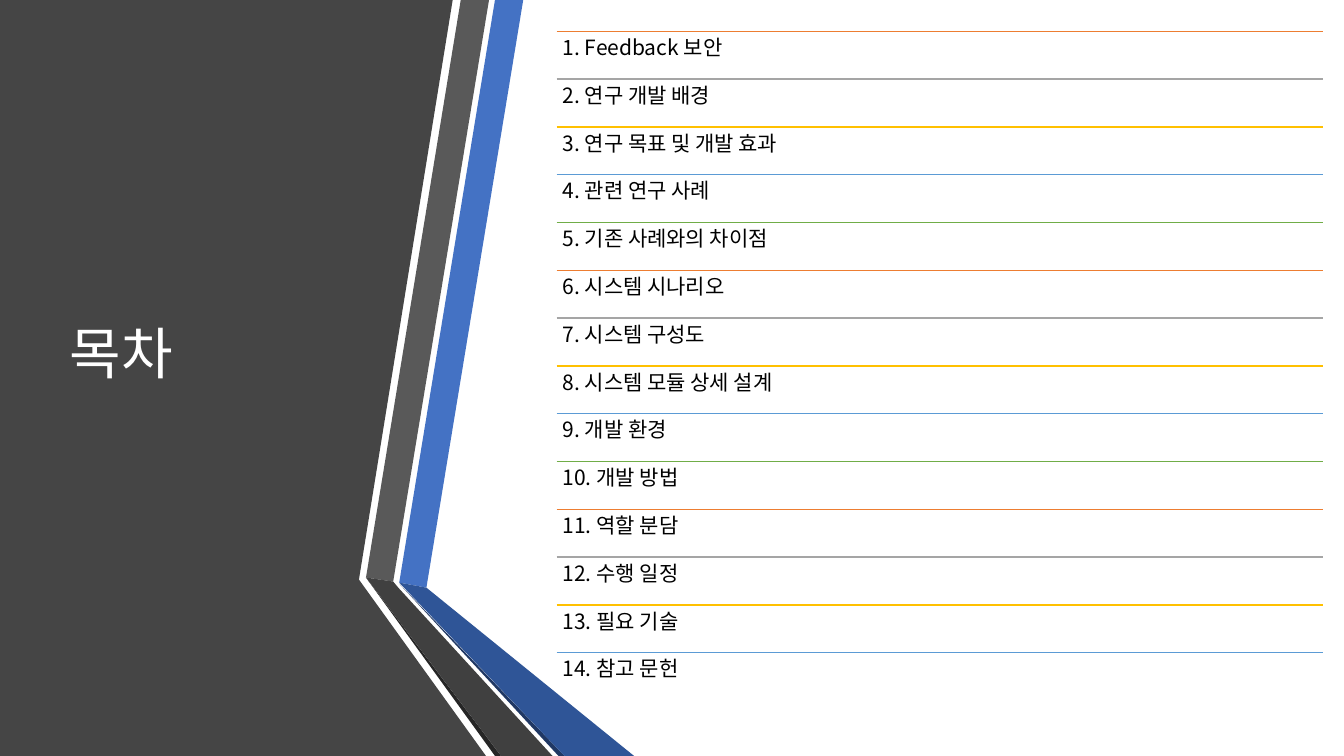
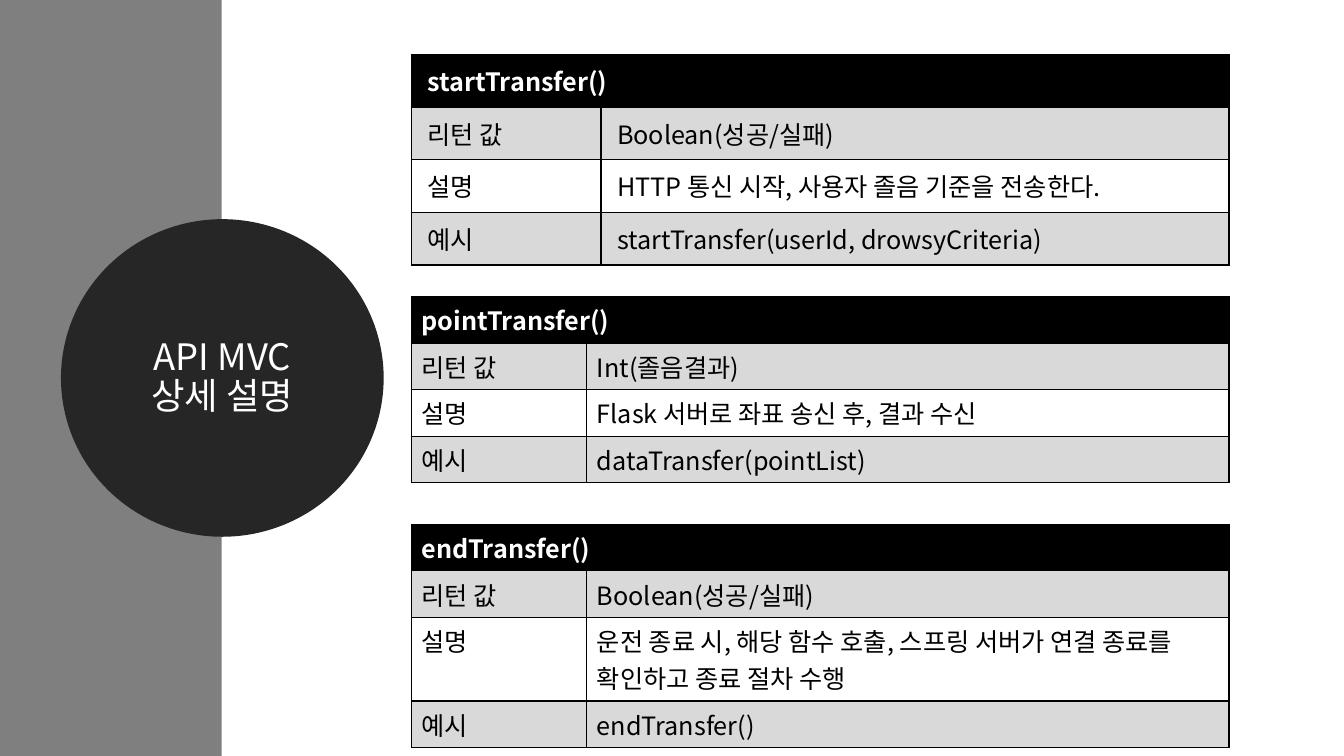
from itertools import cycle

from lxml.etree import SubElement
from pptx import Presentation
from pptx.dml.color import RGBColor
from pptx.enum.shapes import MSO_CONNECTOR, MSO_SHAPE
from pptx.enum.text import MSO_ANCHOR, MSO_AUTO_SIZE, PP_ALIGN
from pptx.oxml.ns import qn
from pptx.util import Inches, Pt

# Shared style
WIDTH, HEIGHT = 13.33, 7.5
FONT = "Noto Sans CJK KR"
TITLE_ONLY = 5
BLACK = RGBColor(0x00, 0x00, 0x00)
WHITE = RGBColor(0xFF, 0xFF, 0xFF)
BACKDROP = RGBColor(0x45, 0x45, 0x45)
CHARCOAL = RGBColor(0x26, 0x26, 0x26)
DARK_GRAY = RGBColor(0x40, 0x40, 0x40)
MID_GRAY = RGBColor(0x59, 0x59, 0x59)
SIDE_GRAY = RGBColor(0x7F, 0x7F, 0x7F)
BAND_GRAY = RGBColor(0xD9, 0xD9, 0xD9)
BLUE = RGBColor(0x44, 0x72, 0xC4)
DEEP_BLUE = RGBColor(0x2F, 0x55, 0x97)
NAVY = RGBColor(0x20, 0x38, 0x64)
RULE_COLORS = [
    RGBColor(0xED, 0x7D, 0x31),
    RGBColor(0xA5, 0xA5, 0xA5),
    RGBColor(0xFF, 0xC0, 0x00),
    RGBColor(0x5B, 0x9B, 0xD5),
    RGBColor(0x70, 0xAD, 0x47),
]

# Contents slide
CONTENTS_TITLE = "목차"
CONTENTS = [
    "Feedback 보안",
    "연구 개발 배경",
    "연구 목표 및 개발 효과",
    "관련 연구 사례",
    "기존 사례와의 차이점",
    "시스템 시나리오",
    "시스템 구성도",
    "시스템 모듈 상세 설계",
    "개발 환경",
    "개발 방법",
    "역할 분담",
    "수행 일정",
    "필요 기술",
    "참고 문헌",
]
LIST_LEFT, LIST_TOP, LIST_WIDTH, LIST_BOTTOM = 5.52, 0.31, 7.6, 6.95

# Folded ribbons: corner points in hundredths of an inch
RIBBONS = [
    (BACKDROP, [(0, 0), (449, 0), (356, 575), (482, 750), (0, 750)]),
    (BLUE, [(396, 578), (423, 583), (519, 0), (491, 0)]),
    (MID_GRAY, [(485, 0), (457, 0), (363, 573), (390, 577)]),
    (CHARCOAL, [(363, 573), (491, 750), (497, 750)]),
    (NAVY, [(396, 579), (554, 750), (560, 750)]),
    (DEEP_BLUE, [(396, 578), (560, 750), (629, 750), (423, 583)]),
    (DARK_GRAY, [(548, 750), (395, 583), (390, 577), (363, 573), (497, 750)]),
]

# Function slide
FUNCTIONS_TITLE = "API MVC 상세 설명"
ROW_LABELS = ["리턴 값", "설명", "예시"]
TABLE_LEFT, TABLE_WIDTH = 4.08, 8.11
FUNCTIONS = [
    {
        "name": "startTransfer()",
        "values": ["Boolean(성공/실패)", "HTTP 통신 시작, 사용자 졸음 기준을 전송한다.",
                   "startTransfer(userId, drowsyCriteria)"],
        "top": 0.54, "label_width": 1.88, "margins": (0.16, 0.08),
        "rows": [0.52, 0.52, 0.52, 0.52],
    },
    {
        "name": "pointTransfer()",
        "values": ["Int(졸음결과)", "Flask 서버로 좌표 송신 후, 결과 수신",
                   "dataTransfer(pointList)"],
        "top": 2.94, "label_width": 1.74, "margins": (0.1, 0.05),
        "rows": [0.46, 0.46, 0.46, 0.46],
    },
    {
        "name": "endTransfer()",
        "values": ["Boolean(성공/실패)",
                   "운전 종료 시, 해당 함수 호출, 스프링 서버가 연결 종료를 확인하고 종료 절차 수행",
                   "endTransfer()"],
        "top": 5.2, "label_width": 1.74, "margins": (0.1, 0.05),
        "rows": [0.46, 0.46, 0.83, 0.46],
    },
]


def write(text_frame, text, size, color, bold=False, spacing=None, align=PP_ALIGN.LEFT):
    paragraph = text_frame.paragraphs[0]
    paragraph.alignment = align
    if spacing:
        paragraph.line_spacing = spacing
    run = paragraph.add_run()
    run.text = text
    run.font.size = Pt(size)
    run.font.bold = bold
    run.font.color.rgb = color
    run.font.name = FONT
    east_asian = SubElement(run.font._element, qn("a:ea"))
    east_asian.set("typeface", FONT)


def paint(shape, color):
    shape.shadow.inherit = False
    shape.fill.solid()
    shape.fill.fore_color.rgb = color
    shape.line.fill.background()


def place_title(slide, text, box, size, align):
    title = slide.shapes.title
    title.left, title.top, title.width, title.height = map(Inches, box)
    frame = title.text_frame
    frame.word_wrap = True
    frame.auto_size = MSO_AUTO_SIZE.NONE
    frame.vertical_anchor = MSO_ANCHOR.MIDDLE
    write(frame, text, size, WHITE, spacing=0.9, align=align)
    # Bring the title in front of the shapes drawn so far
    title._element.getparent().append(title._element)


def add_ribbons(slide):
    for color, points in RIBBONS:
        builder = slide.shapes.build_freeform(*points[0], scale=Inches(0.01))
        builder.add_line_segments(points[1:], close=True)
        paint(builder.convert_to_shape(), color)


def add_contents_list(slide):
    pitch = (LIST_BOTTOM - LIST_TOP) / len(CONTENTS)
    for index, (item, color) in enumerate(zip(CONTENTS, cycle(RULE_COLORS))):
        left, width = Inches(LIST_LEFT), Inches(LIST_WIDTH)
        top = Inches(LIST_TOP + index * pitch)
        rule = slide.shapes.add_connector(MSO_CONNECTOR.STRAIGHT, left, top, left + width, top)
        rule.line.color.rgb = color
        rule.line.width = Pt(1)
        SubElement(rule._element.spPr, qn("a:effectLst"))
        frame = slide.shapes.add_textbox(left, top, width, Inches(pitch)).text_frame
        frame.word_wrap = True
        frame.margin_left = frame.margin_right = Inches(0.06)
        frame.margin_top = frame.margin_bottom = Inches(0.06)
        write(frame, f"{index + 1}. {item}", 15, BLACK, spacing=0.9)


def add_borders(cell):
    properties = cell._tc.get_or_add_tcPr()
    for position, side in enumerate(("a:lnL", "a:lnR", "a:lnT", "a:lnB")):
        border = properties.makeelement(qn(side), {"w": str(Pt(1))})
        fill = SubElement(border, qn("a:solidFill"))
        SubElement(fill, qn("a:srgbClr")).set("val", str(BLACK))
        properties.insert(position, border)


def add_function_table(slide, function):
    rows = [(function["name"], "")] + list(zip(ROW_LABELS, function["values"]))
    heights = function["rows"]
    table = slide.shapes.add_table(
        len(rows), 2, Inches(TABLE_LEFT), Inches(function["top"]),
        Inches(TABLE_WIDTH), Inches(sum(heights))).table
    table.columns[0].width = Inches(function["label_width"])
    table.columns[1].width = Inches(TABLE_WIDTH - function["label_width"])
    table.cell(0, 0).merge(table.cell(0, 1))
    side_margin, end_margin = map(Inches, function["margins"])
    for row_index, texts in enumerate(rows):
        table.rows[row_index].height = Inches(heights[row_index])
        header = row_index == 0
        fill_color = BLACK if header else BAND_GRAY if row_index % 2 else WHITE
        for column_index, text in enumerate(texts):
            cell = table.cell(row_index, column_index)
            cell.margin_left = cell.margin_right = side_margin
            cell.margin_top = cell.margin_bottom = end_margin
            cell.fill.solid()
            cell.fill.fore_color.rgb = fill_color
            add_borders(cell)
            if text:
                write(cell.text_frame, text, 18, WHITE if header else BLACK, bold=header)


def build_contents_slide(slide):
    add_ribbons(slide)
    place_title(slide, CONTENTS_TITLE, (0.59, 0.75, 3.04, 5.58), 40, PP_ALIGN.LEFT)
    add_contents_list(slide)


def build_functions_slide(slide):
    side_band = slide.shapes.add_shape(
        MSO_SHAPE.RECTANGLE, 0, 0, Inches(2.2), Inches(HEIGHT))
    paint(side_band, SIDE_GRAY)
    circle = slide.shapes.add_shape(
        MSO_SHAPE.OVAL, *map(Inches, (0.7, 2.27, 3.01, 2.96)))
    paint(circle, CHARCOAL)
    circle.line.color.rgb = CHARCOAL
    circle.line.width = Pt(13.75)
    place_title(slide, FUNCTIONS_TITLE, (1.14, 2.7, 2.13, 2.1), 26, PP_ALIGN.CENTER)
    for function in FUNCTIONS:
        add_function_table(slide, function)


def main():
    presentation = Presentation()
    presentation.slide_width = Inches(WIDTH)
    presentation.slide_height = Inches(HEIGHT)
    layout = presentation.slide_layouts[TITLE_ONLY]
    for build in (build_contents_slide, build_functions_slide):
        build(presentation.slides.add_slide(layout))
    presentation.save("out.pptx")


if __name__ == "__main__":
    main()
